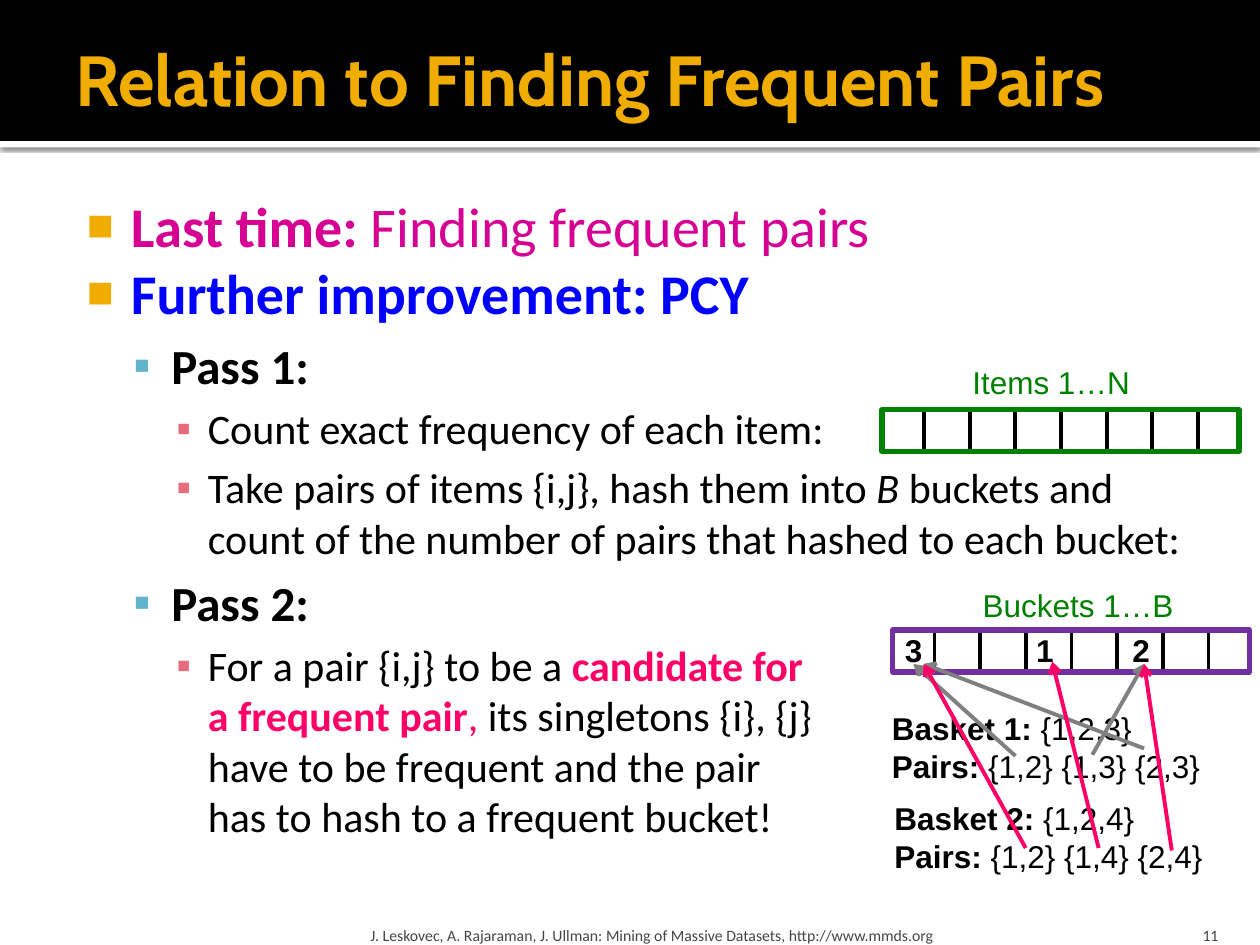
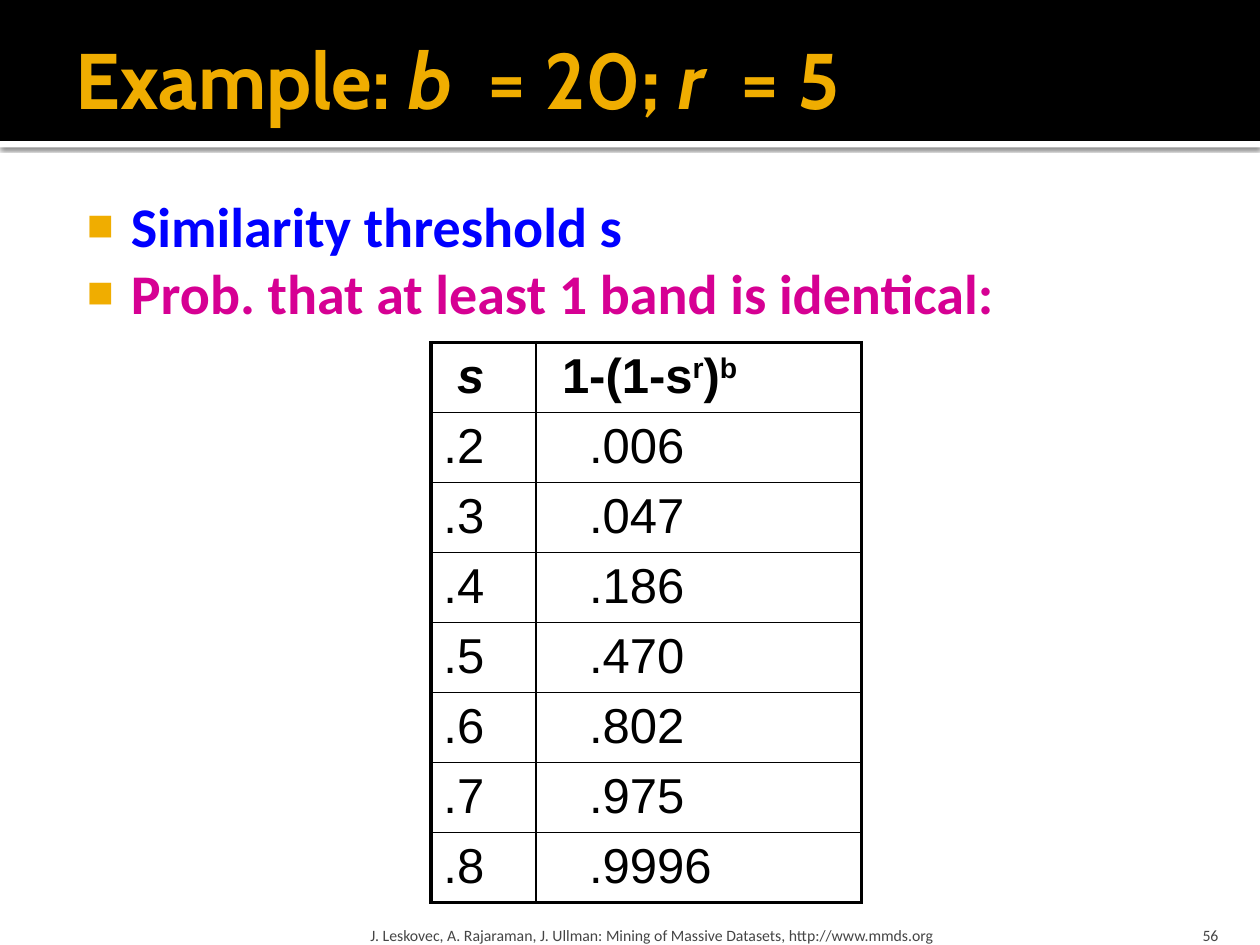
"""Build two lecture slides on frequent pairs and banding probabilities."""
from lxml.etree import SubElement
from pptx import Presentation
from pptx.dml.color import RGBColor
from pptx.enum.shapes import MSO_CONNECTOR as Connector, MSO_SHAPE as Shape
from pptx.enum.text import MSO_ANCHOR as Anchor, MSO_AUTO_SIZE as AutoSize, PP_ALIGN as Align
from pptx.oxml.ns import qn
from pptx.util import Pt

BLACK, WHITE, GOLD, GRAY = "000000", "FFFFFF", "F0AD00", "454545"
MAGENTA, BLUE, PINK, GREEN = "D60093", "0000FF", "FF0066", "008000"
PURPLE, ARROW_GRAY = "7030A0", "808080"
TITLE_FONT, BODY_FONT, FIGURE_FONT = "Cabin", "Calibri", "Arial"
FOOTER = "J. Leskovec, A. Rajaraman, J. Ullman: Mining of Massive Datasets, http://www.mmds.org"
BOLD, ITALIC = {"bold": True}, {"italic": True}
WIDE_SPACE = (" ", {"spacing": 10})

LEVELS = [
    {"size": 32, "left": 34.5, "hang": 25.2, "bullet": "■", "color": GOLD, "percent": 80, "before": 0},
    {"size": 28, "left": 57.6, "hang": 21.6, "bullet": "▪", "color": "60B5CC", "percent": 100, "before": 5.6},
    {"size": 24, "left": 78.5, "hang": 18, "bullet": "▪", "color": "E66C7D", "percent": 100, "before": 4.8},
]

PAIRS_TITLE = [("Relation to Finding Frequent Pairs", {})]
PAIRS_BODY = [
    (0, [("Last time:", {"bold": True, "color": MAGENTA}), (" Finding frequent pairs", {"color": MAGENTA})]),
    (0, [("Further improvement: PCY", {"bold": True, "color": BLUE})]),
    (1, [("Pass 1:", BOLD)]),
    (2, [("Count exact frequency of each item:", {})]),
    (2, [("Take pairs of items {i,j}, hash them into ", {}), ("B", ITALIC),
         (" buckets and count of the number of pairs that hashed to each bucket:", {})]),
    (1, [("Pass 2:", BOLD)]),
    (2, [("For a pair {i,j} to be a ", {}),
         ("candidate for \na frequent pair", {"bold": True, "color": PINK}), (", ", {"color": PINK}),
         ("its singletons {i}, {j} \nhave to be frequent and the pair \nhas to hash to a frequent bucket!", {})]),
]
STRIPS = [(504, 234, GREEN), (510, 360, PURPLE)]
STRIP_CAPTIONS = [("Items 1…N", 548.6, 203.8, 105.1), ("Buckets 1…B", 554.4, 331.2, 124.6)]
BASKETS = [
    ("Basket 1:", " {1,2,3}", " {1,2} {1,3} {2,3}", 502.6, 401.8),
    ("Basket 2:", " {1,2,4}", " {1,2} {1,4} {2,4}", 504, 452.9),
]
BUCKET_COUNTS, COUNT_TABS = ["3", "1", "2"], [75, 130]
HASH_ARROWS = [
    (ARROW_GRAY, (580.3, 432), (522, 379.4)),
    (ARROW_GRAY, (653.8, 427.7), (527.8, 379.4)),
    (ARROW_GRAY, (624.2, 431.3), (653.8, 379.4)),
    (PINK, (586.1, 484.6), (527.8, 379.4)),
    (PINK, (669.6, 486), (653.8, 379.4)),
    (PINK, (627.8, 484.6), (601.2, 378)),
]

EXAMPLE_TITLE = [("Example: ", {}), ("b", ITALIC), WIDE_SPACE, ("= 20; ", {}),
                 ("r", ITALIC), WIDE_SPACE, ("= 5", {})]
EXAMPLE_BODY = [
    (0, [("Similarity threshold s", {"bold": True, "color": BLUE})]),
    (0, [("Prob. that at least 1 band is identical:", {"bold": True, "color": MAGENTA})]),
]
RAISED = {"bold": True, "raised": 30}
TABLE_HEADER = [
    [("s", {"bold": True, "italic": True})],
    [("1-(1-s", BOLD), ("r", RAISED), (")", BOLD), ("b", RAISED)],
]
PROBABILITIES = [(".2", ".006"), (".3", ".047"), (".4", ".186"), (".5", ".470"),
                 (".6", ".802"), (".7", ".975"), (".8", ".9996")]


def rgb(color):
    """Turn a hex string into a colour."""
    return RGBColor.from_string(color)


def add_runs(paragraph, runs, size, font, color, bold=False):
    """Add styled runs, breaking lines at each newline."""
    for text, style in runs:
        for index, line in enumerate(text.split("\n")):
            if index:
                paragraph.add_line_break()
            run = paragraph.add_run()
            run.text = line
            run.font.size, run.font.name = Pt(size), font
            run.font.bold = style.get("bold", bold)
            run.font.italic = style.get("italic", False)
            run.font.color.rgb = rgb(style.get("color", color))
            properties = run.font._element
            if "raised" in style:
                properties.set("baseline", str(style["raised"] * 1000))
            if "spacing" in style:
                properties.set("spc", str(style["spacing"] * 100))


def add_box(slide, left, top, width, height, insets=(7.2, 3.6, 7.2, 3.6), anchor=Anchor.TOP, wrap=True):
    """Add an empty text box and return its text frame."""
    frame = slide.shapes.add_textbox(Pt(left), Pt(top), Pt(width), Pt(height)).text_frame
    frame.word_wrap, frame.vertical_anchor = wrap, anchor
    frame.auto_size = AutoSize.NONE if wrap else AutoSize.SHAPE_TO_FIT_TEXT
    frame.margin_left, frame.margin_top, frame.margin_right, frame.margin_bottom = map(Pt, insets)
    return frame


def add_rectangle(slide, left, top, width, height, fill=None, line=None):
    """Add a plain rectangle with an optional fill and outline."""
    shape = slide.shapes.add_shape(Shape.RECTANGLE, Pt(left), Pt(top), Pt(width), Pt(height))
    shape.shadow.inherit = False
    if fill:
        shape.fill.solid()
        shape.fill.fore_color.rgb = rgb(fill)
    else:
        shape.fill.background()
    if line:
        shape.line.color.rgb, shape.line.width = rgb(line), Pt(3)
    else:
        shape.line.fill.background()
    return shape


def add_line(slide, start, end, color, arrow=False):
    """Add a straight line, with an arrowhead at its end if asked."""
    connector = slide.shapes.add_connector(Connector.STRAIGHT, *map(Pt, start + end))
    connector.line.color.rgb, connector.line.width = rgb(color), Pt(2.25)
    if arrow:
        SubElement(connector.line._get_or_add_ln(), qn("a:tailEnd"), type="arrow")
    SubElement(connector._element.spPr, qn("a:effectLst"))


def add_bullet(paragraph, level):
    """Give a paragraph the indent, bullet and spacing of its level."""
    properties = paragraph._p.get_or_add_pPr()
    properties.set("marL", str(Pt(level["left"])))
    properties.set("indent", str(-Pt(level["hang"])))
    SubElement(SubElement(properties, qn("a:buClr")), qn("a:srgbClr"), val=level["color"])
    SubElement(properties, qn("a:buSzPct"), val=str(level["percent"] * 1000))
    SubElement(properties, qn("a:buFont"), typeface=FIGURE_FONT)
    SubElement(properties, qn("a:buChar"), char=level["bullet"])
    paragraph.space_before = Pt(level["before"])


def add_band_shadow(shape):
    """Drop a soft shadow below the white band."""
    effects = shape._element.spPr.find(qn("a:effectLst"))
    shadow = SubElement(effects, qn("a:outerShdw"), blurRad=str(Pt(2.5)), dist=str(Pt(0.8)),
                        dir="5400000", rotWithShape="0")
    color = SubElement(shadow, qn("a:srgbClr"), val=BLACK)
    SubElement(color, qn("a:alpha"), val="60000")


def add_lecture_slide(presentation, title, title_size, body, body_height, number):
    """Add a slide with the shared bands, title, bullets and footer."""
    slide = presentation.slides.add_slide(presentation.slide_layouts[6])
    add_band_shadow(add_rectangle(slide, 0, 80.6, 720, 3.6, WHITE))
    add_rectangle(slide, 0, 0, 720, 80.6, BLACK)
    frame = add_box(slide, 36, 5.8, 648, 77.8, (7.2, 3.6, 3.6, 3.6), Anchor.MIDDLE)
    add_runs(frame.paragraphs[0], title, title_size, TITLE_FONT, GOLD, bold=True)

    frame = add_box(slide, 36, 102.2, 648, body_height, (4.3, 7.2, 7.2, 3.6))
    for index, (depth, runs) in enumerate(body):
        paragraph = frame.add_paragraph() if index else frame.paragraphs[0]
        add_bullet(paragraph, LEVELS[depth])
        add_runs(paragraph, runs, LEVELS[depth]["size"], BODY_FONT, BLACK)

    for text, left, width, inset, align in [(FOOTER, 208, 433.4, 3.6, Align.LEFT),
                                            (number, 645.8, 57.6, 7.2, Align.RIGHT)]:
        frame = add_box(slide, left, 518.4, width, 21.6, (inset, 3.6, inset, 0), Anchor.BOTTOM)
        frame.paragraphs[0].alignment = align
        add_runs(frame.paragraphs[0], [(text, {})], 9, BODY_FONT, GRAY)
    return slide


def add_strip(slide, left, top, color):
    """Draw a row of eight cells inside a coloured frame."""
    for index in range(7):
        x = left + 24 + 26.1 * index
        add_line(slide, (x, top), (x, top + 24), BLACK)
    add_rectangle(slide, left, top, 204, 24, line=color)


def add_bucket_counts(slide):
    """Write the counts in their buckets with tab stops."""
    paragraph = add_box(slide, 510, 357.1, 156, 29, wrap=False).paragraphs[0]
    tabs = SubElement(paragraph._p.get_or_add_pPr(), qn("a:tabLst"))
    for position in COUNT_TABS:
        SubElement(tabs, qn("a:tab"), pos=str(Pt(position)), algn="l")
    add_runs(paragraph, [("\t".join(BUCKET_COUNTS), BOLD)], 18, FIGURE_FONT, BLACK)


def add_hashing_figure(slide):
    """Draw the item and bucket arrays, the baskets and the hash arrows."""
    for strip in STRIPS:
        add_strip(slide, *strip)
    for text, left, top, width in STRIP_CAPTIONS:
        frame = add_box(slide, left, top, width, 29, wrap=False)
        add_runs(frame.paragraphs[0], [(text, {})], 18, FIGURE_FONT, GREEN)
    for name, items, pairs, left, top in BASKETS:
        frame = add_box(slide, left, top, 192.2, 51, wrap=False)
        add_runs(frame.paragraphs[0], [(name, BOLD), (items, {})], 18, FIGURE_FONT, BLACK)
        add_runs(frame.add_paragraph(), [("Pairs:", BOLD), (pairs, {})], 18, FIGURE_FONT, BLACK)
    add_bucket_counts(slide)
    for color, start, end in HASH_ARROWS:
        add_line(slide, start, end, color, arrow=True)


def set_borders(cell, widths):
    """Draw black cell borders from a mapping of side to width."""
    properties = cell._tc.get_or_add_tcPr()
    for side, width in widths.items():
        line = SubElement(properties, qn(f"a:ln{side}"), w=str(Pt(width)))
        SubElement(SubElement(line, qn("a:solidFill")), qn("a:srgbClr"), val=BLACK)


def add_probability_table(slide):
    """Add the table of probabilities with a heavy outer frame."""
    rows = [TABLE_HEADER] + [[[(text, {})] for text in row] for row in PROBABILITIES]
    last = len(rows) - 1
    table = slide.shapes.add_table(len(rows), 2, Pt(246.2), Pt(195.8), Pt(246), Pt(320)).table
    table.first_row = table.horz_banding = False
    table.columns[0].width, table.columns[1].width = Pt(60), Pt(186)
    for row_index, row in enumerate(rows):
        table.rows[row_index].height = Pt(40)
        for column, runs in enumerate(row):
            cell = table.cell(row_index, column)
            outer = {"L": column == 0, "R": column == 1, "T": row_index == 0, "B": row_index == last}
            set_borders(cell, {side: 2.25 if edge else 1 for side, edge in outer.items()})
            cell.fill.background()
            cell.margin_left = Pt(15 if row_index == 0 else (7.2, 30.5)[column])
            add_runs(cell.text_frame.paragraphs[0], runs, 28, FIGURE_FONT, BLACK)


def main():
    """Build both slides and save the presentation."""
    presentation = Presentation()
    presentation.slide_width, presentation.slide_height = Pt(720), Pt(540)
    pairs_slide = add_lecture_slide(presentation, PAIRS_TITLE, 40.5, PAIRS_BODY, 426, "11")
    add_hashing_figure(pairs_slide)
    example_slide = add_lecture_slide(presentation, EXAMPLE_TITLE, 45, EXAMPLE_BODY, 414, "56")
    add_probability_table(example_slide)
    presentation.save("out.pptx")


if __name__ == "__main__":
    main()
